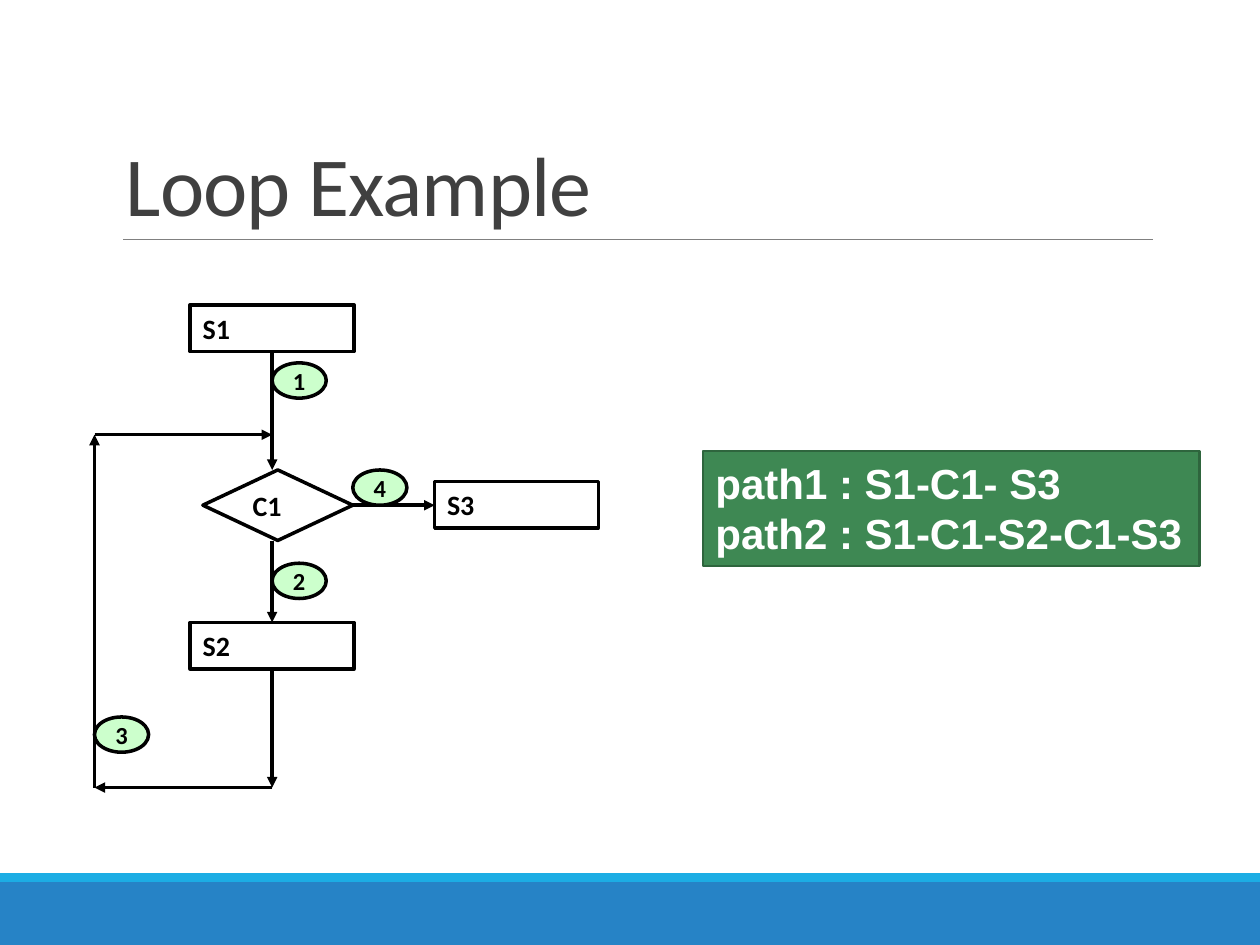
from lxml.etree import SubElement as Sub
from pptx import Presentation
from pptx.dml.color import RGBColor
from pptx.enum.shapes import MSO_CONNECTOR as Link, MSO_SHAPE as Kind
from pptx.enum.text import MSO_ANCHOR as Anchor, PP_ALIGN as Align
from pptx.oxml.ns import qn
from pptx.util import Inches, Pt


def color(code):
    return RGBColor.from_string(code)


def write(shape, text, size, font="Calibri", ink="000000", bold=True,
          align=Align.LEFT, anchor=Anchor.MIDDLE, wrap=True, side=0.1,
          space=1.0, track=0):
    """Fill the shape with text; each line of it is a paragraph."""
    frame = shape.text_frame
    frame.word_wrap = wrap
    frame.vertical_anchor = anchor
    frame.margin_left = frame.margin_right = Inches(side)
    frame.text = text
    for para in frame.paragraphs:
        para.alignment = align
        para.line_spacing = space
        for run in para.runs:
            run.font.name = font
            run.font.size = Pt(size)
            run.font.bold = bold
            run.font.color.rgb = color(ink)
            if track:
                run.font._element.set("spc", str(track))


deck = Presentation()
deck.slide_width, deck.slide_height = Inches(10), Inches(7.5)
slide = deck.slides.add_slide(deck.slide_layouts[6])
shapes = slide.shapes

# Footer bands
for top, height, fill in [(7, 0.5, "2683C6"), (6.93, 0.07, "1CADE4")]:
    band = shapes.add_shape(Kind.RECTANGLE, 0, Inches(top), Inches(10), Inches(height))
    band.shadow.inherit = False
    band.fill.solid()
    band.fill.fore_color.rgb = color(fill)
    band.line.fill.background()

# Title
title = shapes.add_textbox(Inches(0.9), Inches(0.31), Inches(8.25), Inches(1.59))
write(title, "Loop Example", 48, ink="404040", bold=False,
      anchor=Anchor.BOTTOM, space=0.85, track=-50)

# Title rule, then the arrows of the flow chart
mid, back, join, base = 2.16, 0.75, 3.45, 6.25
rule = (0.98, 1.9, 9.15, 1.9)
arrows = [
    (mid, 2.79, mid, 3.73),
    (mid, 5.32, mid, base),
    (mid, 4.29, mid, 4.94),
    (mid, base, back, base),
    (back, base, back, join),
    (back, join, mid, join),
    (2.8, 4.01, 3.45, 4.01),
]

# Steps and the decision
rect, oval = Kind.RECTANGLE, Kind.OVAL
steps = [
    ("S1", rect, 1.51, 2.42, 1.3, 0.37),
    ("S2", rect, 1.51, 4.94, 1.3, 0.37),
    ("S3", rect, 3.45, 3.82, 1.3, 0.37),
    ("C1", Kind.DIAMOND, 1.61, 3.73, 1.19, 0.56),
]
marks = [
    ("3", oval, back, 5.69, 0.43, 0.28),
    ("2", oval, mid, 4.47, 0.43, 0.28),
    ("1", oval, mid, 2.88, 0.43, 0.28),
    ("4", oval, 2.8, 3.73, 0.43, 0.28),
]
paths = "path1 : S1-C1- S3\npath2 : S1-C1-S2-C1-S3"
notes = [(paths, rect, 5.58, 3.58, 3.94, 0.91)]

step = dict(size=16)
mark = dict(size=14, align=Align.CENTER, side=0)
note = dict(size=24, font="Arial", ink="FFFFFF", anchor=Anchor.TOP, wrap=False)

for group, fill, edge, width, style in [
    (steps, "FFFFFF", "000000", 2, step),
    ([], "", "", 0, {}),
    (marks, "CCFFCC", "000000", 2, mark),
    (notes, "3E8853", "2E653D", 1.25, note),
]:
    for text, kind, *place in group:
        node = shapes.add_shape(kind, *map(Inches, place))
        node.shadow.inherit = False
        node.fill.solid()
        node.fill.fore_color.rgb = color(fill)
        node.line.color.rgb = color(edge)
        node.line.width = Pt(width)
        write(node, text, **style)
    if group is steps:
        for ends in [rule] + arrows:
            line = shapes.add_connector(Link.STRAIGHT, *map(Inches, ends))
            plain = ends is rule
            line.line.color.rgb = color("808080" if plain else "000000")
            line.line.width = Pt(0.5 if plain else 2)
            if not plain:
                Sub(line.line._get_or_add_ln(), qn("a:tailEnd"), type="triangle")
            Sub(line._element.spPr, qn("a:effectLst"))

deck.save("out.pptx")
